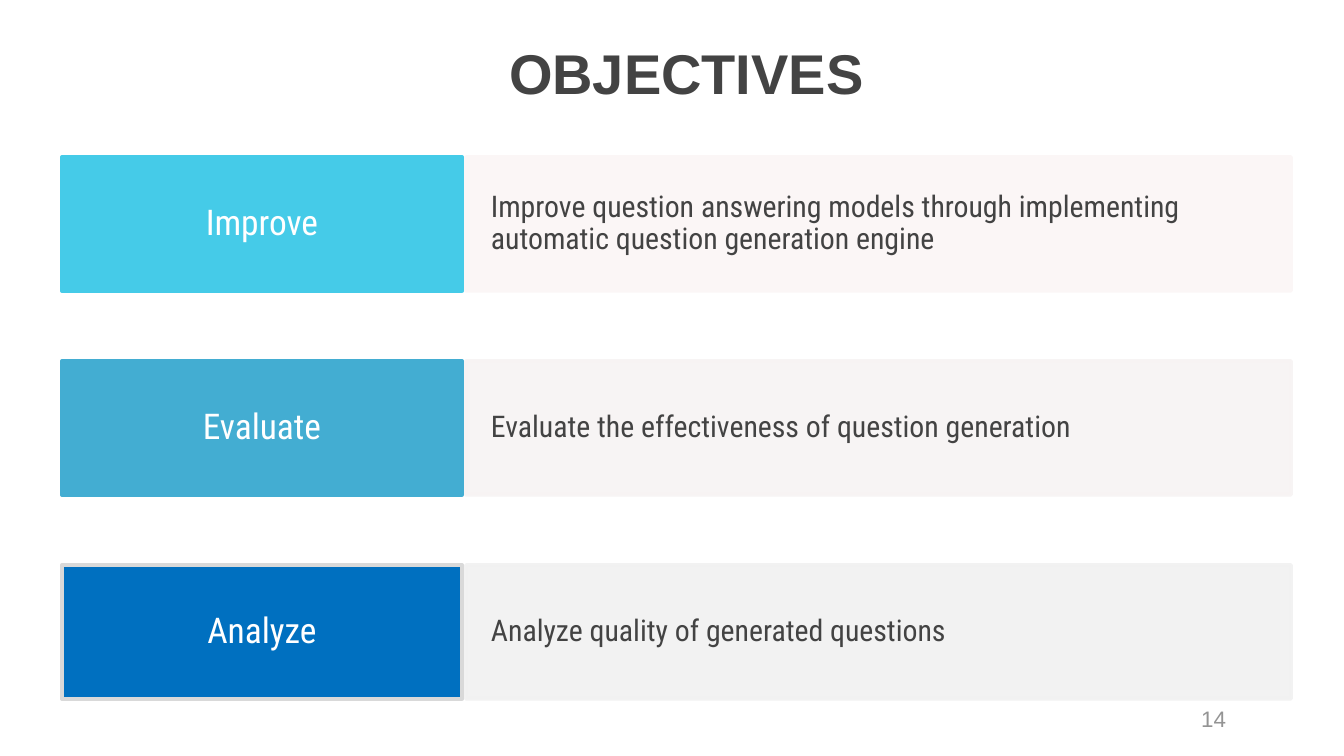
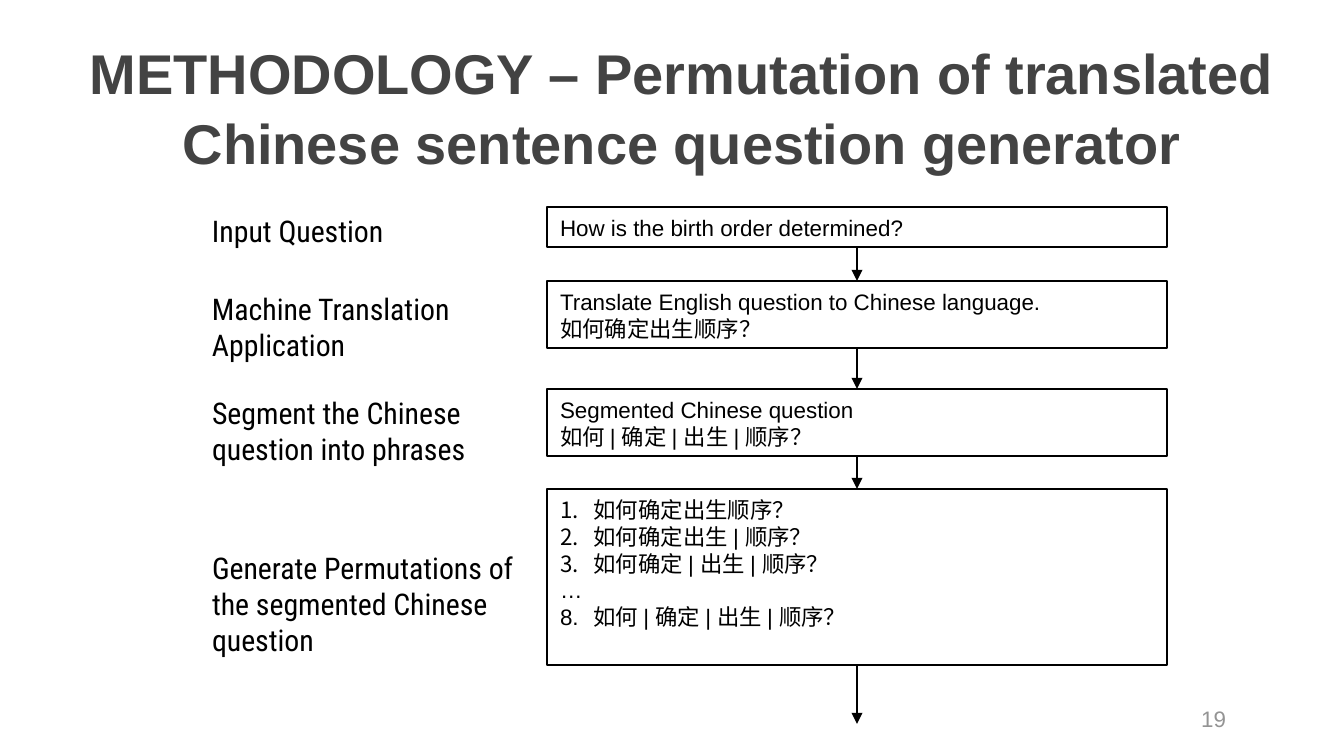
from pptx import Presentation
from pptx import util as u
from pptx.dml.color import RGBColor
from pptx.enum import shapes, text
from pptx.oxml import parse_xml
from pptx.oxml.ns import nsdecls, qn

SCALE = 914400 / 134.4  # EMU per px
ARIAL, ROBOTO = "Arial", "Roboto Condensed"
DARK, GREY, BLACK, WHITE = "434343", "949494", "000000", "FFFFFF"
ALIGN = {"l": text.PP_ALIGN.LEFT, "c": text.PP_ALIGN.CENTER, "r": text.PP_ALIGN.RIGHT}


def px(*values):
    return [u.Emu(round(v * SCALE)) for v in values]


def put_text(sp, words, size=12, font=ARIAL, color=BLACK, bold=False, align="l",
             anchor=text.MSO_ANCHOR.TOP, spacing=None, insets=(13, 7, 13, 7)):
    tf = sp.text_frame
    tf.word_wrap = True
    tf.vertical_anchor = anchor
    tf.margin_left, tf.margin_top, tf.margin_right, tf.margin_bottom = px(*insets)
    for i, line in enumerate(words.split("\n")):
        p = tf.paragraphs[0] if i == 0 else tf.add_paragraph()
        p.alignment = ALIGN[align]
        if spacing:
            p.line_spacing = spacing
        r = p.add_run()
        r.text = line
        r.font.size, r.font.name, r.font.bold = u.Pt(size), font, bold
        r.font.color.rgb = RGBColor.from_string(color)
    return tf


prs = Presentation()
prs.slide_width, prs.slide_height = px(1344, 756)

# Shared by both slides: title and page number
slides = []
for title, left, width, number in [
    ("OBJECTIVES", 146, 1081, "14"),
    ("METHODOLOGY – Permutation of translated Chinese sentence question generator",
     63, 1238, "19"),
]:
    s = prs.slides.add_slide(prs.slide_layouts[6])
    sp = s.shapes.add_textbox(*px(left, 19, width, 138))
    put_text(sp, title, size=30, color=DARK, bold=True, align="c", spacing=1.04,
             insets=(13, 17, 13, 13))
    sp = s.shapes.add_textbox(*px(937, 699, 302, 40))
    put_text(sp, number, color=GREY, align="r", anchor=text.MSO_ANCHOR.MIDDLE)
    slides.append(s)
objectives, methodology = slides

# Objectives: a coloured name and a pale description in each row
rows = [
    ("Improve", "45CBE8", "45CBE8", "FBF6F6",
     "Improve question answering models through implementing automatic question generation engine"),
    ("Evaluate", "43ADD2", "43ADD2", "F7F3F3",
     "Evaluate the effectiveness of question generation"),
    ("Analyze", "0070C0", "D9D9D9", "F1F1F1",
     "Analyze quality of generated questions"),
]
for i, (name, color, edge, pale, description) in enumerate(rows):
    for left, width, fill, line, words, size, ink, align in [
        (62, 400, color, edge, name, 19, WHITE, "c"),
        (466, 825, pale, pale, description, 16, DARK, "l"),
    ]:
        sp = objectives.shapes.add_shape(shapes.MSO_SHAPE.RECTANGLE,
                                         *px(left, 157 + 204 * i, width, 134))
        sp.shadow.inherit = False
        sp.fill.solid()
        sp.fill.fore_color.rgb = RGBColor.from_string(fill)
        sp.line.color.rgb = RGBColor.from_string(line)
        sp.line.width = u.Pt(2)
        if fill == pale:
            for clr in sp._element.spPr.iter(qn("a:srgbClr")):
                clr.append(parse_xml(f'<a:alpha {nsdecls("a")} val="90000"/>'))
        put_text(sp, words, size=size, font=ROBOTO, color=ink, align=align,
                 anchor=text.MSO_ANCHOR.MIDDLE, spacing=0.9, insets=(25, 35, 25, 35))

# Methodology: step labels beside a chain of boxes
steps = [  # label, label top, width, height; box top, height, words
    ("Input Question", 206, 238, 50, 207, 40, "How is the birth order determined?"),
    ("Machine Translation Application", 284, 280, 86, 281, 67,
     "Translate English question to Chinese language.\n如何确定出生顺序？"),
    ("Segment the Chinese question into phrases", 388, 286, 86, 389, 67,
     "Segmented Chinese question\n如何 | 确定 | 出生 | 顺序？"),
    ("Generate Permutations of the segmented Chinese question", 543, 368, 122, 489, 176,
     "如何确定出生顺序？\n如何确定出生 | 顺序？\n如何确定 | 出生 | 顺序？\n…\n"
     "8.\t如何 | 确定 | 出生 | 顺序？"),
]
arrow_ends = [step[4] for step in steps[1:]] + [724]
for (label, top, width, height, box_top, box_height, words), end in zip(steps, arrow_ends):
    sp = methodology.shapes.add_textbox(*px(199, top, width, height))
    put_text(sp, label, size=16, font=ROBOTO)

    sp = methodology.shapes.add_shape(shapes.MSO_SHAPE.RECTANGLE,
                                      *px(547, box_top, 620, box_height))
    sp.shadow.inherit = False
    sp.fill.background()
    sp.line.color.rgb = RGBColor.from_string(BLACK)
    sp.line.width = u.Pt(0.75)
    tf = put_text(sp, words)

    # Arrow to the next step
    arrow = methodology.shapes.add_connector(shapes.MSO_CONNECTOR.STRAIGHT,
                                             *px(857, box_top + box_height, 857, end))
    arrow.line.color.rgb = RGBColor.from_string(BLACK)
    arrow.line.width = u.Pt(0.75)
    arrow.line._get_or_add_ln().append(
        parse_xml(f'<a:tailEnd {nsdecls("a")} type="triangle"/>'))
    arrow._element.spPr.append(parse_xml(f'<a:effectLst {nsdecls("a")}/>'))

# Hanging numbers in the last box
for i, p in enumerate(tf.paragraphs):
    if i == 3:
        continue
    pPr = p._p.get_or_add_pPr()
    pPr.set("marL", "228600")
    pPr.set("indent", "-228600")
    if i < 3:
        pPr.append(parse_xml(f'<a:buAutoNum {nsdecls("a")} type="arabicPeriod"/>'))

prs.save("out.pptx")
